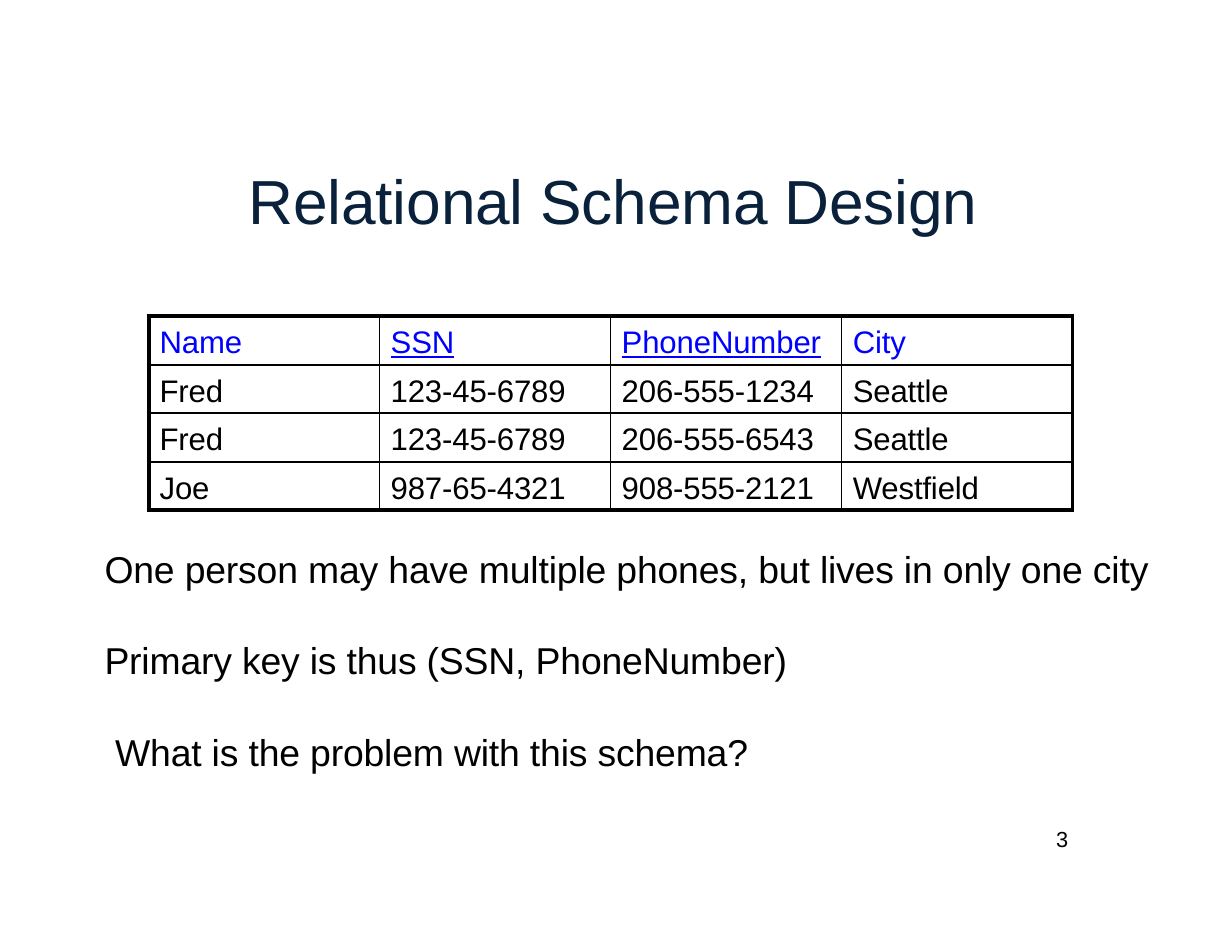
"""Build the slide on relational schema design."""
import pptx
import pptx.dml.color
import pptx.enum.text
import pptx.oxml
import pptx.oxml.ns
import pptx.util

Cm, Pt = pptx.util.Cm, pptx.util.Pt
NAVY = pptx.dml.color.RGBColor(0x09, 0x21, 0x3B)
BLUE = pptx.dml.color.RGBColor(0x00, 0x00, 0xFF)
BLACK = pptx.dml.color.RGBColor(0x00, 0x00, 0x00)
ROWS = [
    ["Name", "SSN", "PhoneNumber", "City"],
    ["Fred", "123-45-6789", "206-555-1234", "Seattle"],
    ["Fred", "123-45-6789", "206-555-6543", "Seattle"],
    ["Joe", "987-65-4321", "908-555-2121", "Westfield"],
]
KEYS = ["SSN", "PhoneNumber"]
LINES = [
    ("One person may have multiple phones, but lives in only one city", 0, 0),
    ("Primary key is thus (SSN, PhoneNumber)", 30, 0),
    ("What is the problem with this schema?", 30, 0.24),
]
FRAME = {
    "word_wrap": True,
    "auto_size": pptx.enum.text.MSO_AUTO_SIZE.NONE,
    "vertical_anchor": pptx.enum.text.MSO_ANCHOR.TOP,
    "margin_left": Cm(0.03),
    "margin_top": Cm(0.06),
    "margin_right": 0,
    "margin_bottom": 0,
}


def write(par, text, size, color, line=None):
    run = par.add_run()
    run.text = text
    run._r.get_or_add_rPr().set("spc", "-10")
    look = {"name": "Arial", "size": Pt(size), "underline": line}
    for key, value in look.items():
        setattr(run.font, key, value)
    run.font.color.rgb = color


def place(shape, left, top, width, height):
    spot = {"left": left, "top": top, "width": width, "height": height}
    for key, value in spot.items():
        setattr(shape, key, Cm(value))
    for key, value in FRAME.items():
        setattr(shape.text_frame, key, value)


deck = pptx.Presentation()
deck.slide_width, deck.slide_height = Cm(27.94), Cm(21.59)
slide = deck.slides.add_slide(deck.slide_layouts[1])

title = slide.shapes.title
place(title, 5.61, 3.63, 16.69, 1.78)
head = title.text_frame.paragraphs[0]
head.alignment = pptx.enum.text.PP_ALIGN.LEFT
write(head, "Relational Schema Design", 40, NAVY)

grid = slide.shapes.add_table(4, 4, Cm(3.37), Cm(7.17), Cm(20.96), Cm(4.4)).table
grid.first_row = grid.horz_banding = False
for col in grid.columns:
    col.width = Cm(5.24)
for row in grid.rows:
    row.height = Cm(1.1)

inset = {"margin_left": Cm(0.25), "margin_top": Cm(0.21),
         "margin_right": 0, "margin_bottom": 0}
for r, row in enumerate(ROWS):
    for c, text in enumerate(row):
        cell = grid.cell(r, c)
        for key, value in inset.items():
            setattr(cell, key, value)
        cell.fill.background()
        edges = {
            "lnL": 3 if c == 0 else 1,
            "lnR": 2.25 if c == 3 else 1,
            "lnT": 3 if r == 0 else 1.5,
            "lnB": 3 if r == 3 else 1.5,
        }
        for spot, (tag, width) in enumerate(edges.items()):
            edge = pptx.oxml.parse_xml(
                f'<a:{tag} {pptx.oxml.ns.nsdecls("a")} w="{Pt(width)}">'
                f'<a:solidFill><a:srgbClr val="{BLACK}"/></a:solidFill></a:{tag}>')
            cell._tc.get_or_add_tcPr().insert(spot, edge)
        write(cell.text_frame.paragraphs[0], text, 20,
              BLACK if r else BLUE, text in KEYS)

body = slide.placeholders[1]
place(body, 2.34, 12.32, 23.98, 5.16)
for i, (text, gap, indent) in enumerate(LINES):
    par = body.text_frame.add_paragraph() if i else body.text_frame.paragraphs[0]
    props = par._p.get_or_add_pPr()
    props.set("marL", str(Cm(indent)))
    props.set("indent", "0")
    props.append(pptx.oxml.parse_xml(f'<a:buNone {pptx.oxml.ns.nsdecls("a")}/>'))
    par.space_before = Pt(gap)
    write(par, text, 24, BLACK)

page = slide.shapes.add_textbox(0, 0, 0, 0)
place(page, 23.85, 18.75, 0.76, 0.64)
page.text_frame.margin_left, page.text_frame.margin_top = Cm(0.1), 0
mark = page.text_frame.paragraphs[0]
mark.line_spacing = Pt(16.4)
write(mark, "3", 14, BLACK)

deck.save("out.pptx")
